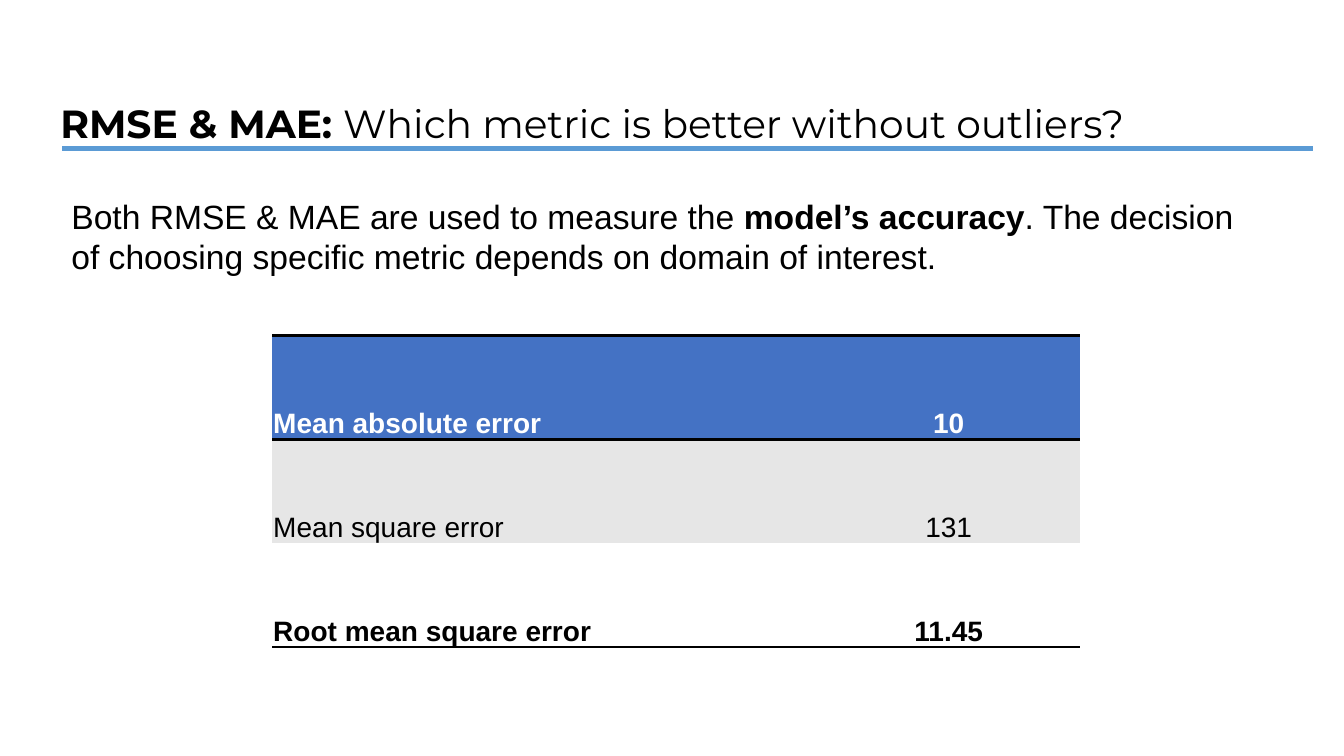
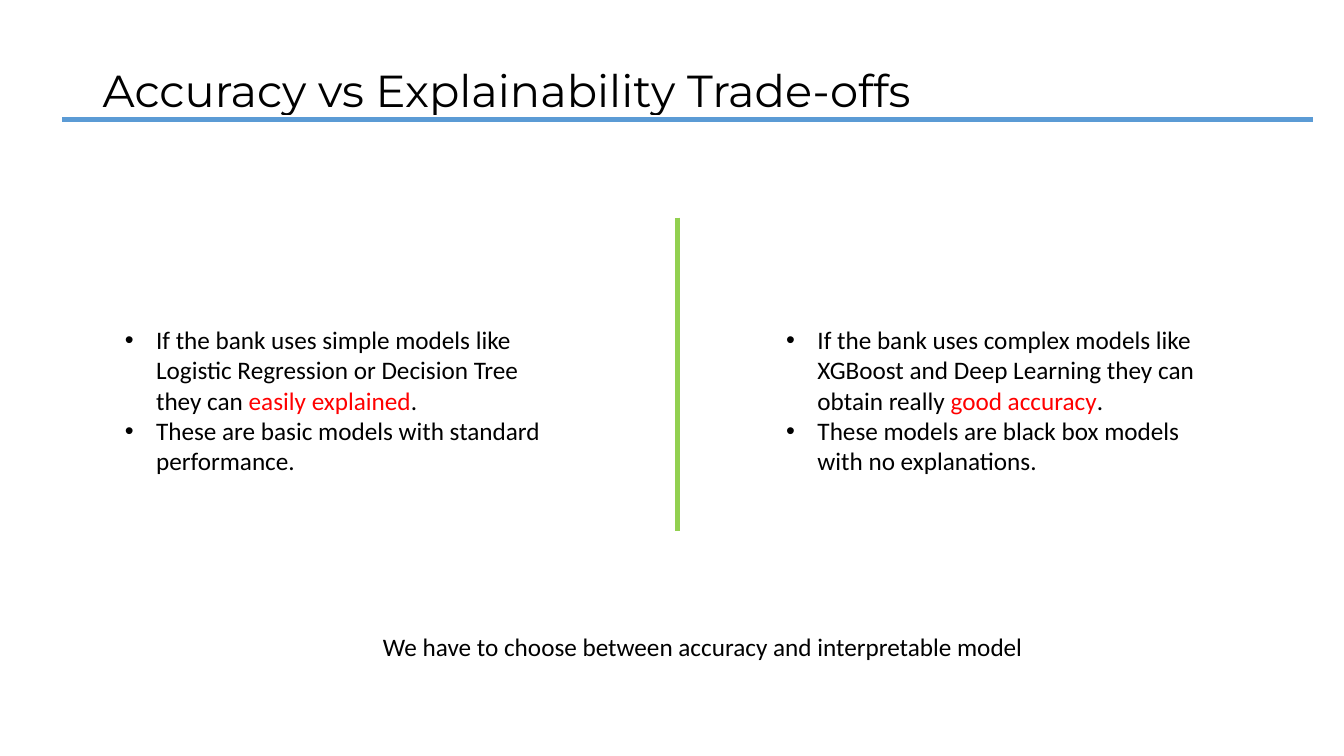
import dataclasses

import lxml.etree
import pptx
import pptx.dml.color
import pptx.enum.shapes
import pptx.enum.text
import pptx.oxml.ns
import pptx.util

Inches = pptx.util.Inches
Pt = pptx.util.Pt
ALIGN = pptx.enum.text.PP_ALIGN
ANCHOR = pptx.enum.text.MSO_ANCHOR
qn = pptx.oxml.ns.qn


@dataclasses.dataclass(frozen=True)
class Theme:
    black: str = "000000"
    white: str = "FFFFFF"
    rule: str = "5B9BD5"
    divider: str = "92D050"
    highlight: str = "FF0000"
    header_fill: str = "4472C4"
    band_fill: str = "E6E6E6"
    title_font: str = "Montserrat"
    body_font: str = "Arial"
    list_font: str = "Calibri"
    long_title_size: int = 28
    title_size: int = 32
    body_size: int = 24
    table_size: int = 20
    list_size: int = 18


THEME = Theme()


def rgb(value):
    return pptx.dml.color.RGBColor.from_string(value)


def add_bullet(para, indent=0.31):
    properties = para._p.get_or_add_pPr()
    properties.set("marL", str(Inches(indent)))
    properties.set("indent", str(-Inches(indent)))
    lxml.etree.SubElement(properties, qn("a:buFont"), typeface="Arial")
    lxml.etree.SubElement(properties, qn("a:buChar"), char="•")


def write_text(frame, paragraphs, *, font, size, color=THEME.black, bold=False,
               align=ALIGN.LEFT, anchor=ANCHOR.TOP, spacing=None, bullets=False):
    """Fill a frame; a paragraph is a list of (text, overrides) runs."""
    frame.word_wrap = True
    frame.vertical_anchor = anchor
    for index, runs in enumerate(paragraphs):
        para = frame.add_paragraph() if index else frame.paragraphs[0]
        para.alignment = align
        if spacing:
            para.line_spacing = spacing
        if bullets:
            add_bullet(para)
        for text, overrides in runs:
            span = para.add_run()
            span.text = text
            span.font.name = font
            span.font.size = Pt(size)
            span.font.bold = overrides.get("bold", bold)
            span.font.color.rgb = rgb(overrides.get("color", color))


def add_text(page, left, top, width, height, paragraphs, **style):
    box = page.shapes.add_textbox(Inches(left), Inches(top), Inches(width), Inches(height))
    write_text(box.text_frame, paragraphs, **style)


def add_title_rule(page, top):
    bar = page.shapes.add_shape(pptx.enum.shapes.MSO_SHAPE.RECTANGLE,
                                Inches(0.61), Inches(top), Inches(12.42), Inches(0.07))
    bar.shadow.inherit = False
    bar.fill.solid()
    bar.fill.fore_color.rgb = rgb(THEME.rule)
    bar.line.color.rgb = rgb(THEME.white)
    bar.line.width = Pt(1)


def add_divider(page, x, top, bottom):
    line = page.shapes.add_connector(pptx.enum.shapes.MSO_CONNECTOR.STRAIGHT,
                                     Inches(x), Inches(top), Inches(x), Inches(bottom))
    line.line.color.rgb = rgb(THEME.divider)
    line.line.width = Pt(3)
    lxml.etree.SubElement(line._element.spPr, qn("a:effectLst"))


def set_borders(cell, top, bottom):
    """Draw horizontal cell borders in points; zero hides one."""
    properties = cell._tc.get_or_add_tcPr()
    for side, width in (("L", 0), ("R", 0), ("T", top), ("B", bottom)):
        border = lxml.etree.SubElement(properties, qn(f"a:ln{side}"), w=str(Pt(width)))
        if width:
            fill = lxml.etree.SubElement(border, qn("a:solidFill"))
            lxml.etree.SubElement(fill, qn("a:srgbClr"), val=THEME.black)
        else:
            lxml.etree.SubElement(border, qn("a:noFill"))


def add_metric_table(page, left, top, column_widths, row_height, rows, rules):
    """Add rows of (cells, fill, color, bold); rules are the row boundary widths."""
    table = page.shapes.add_table(len(rows), len(column_widths), Inches(left), Inches(top),
                                  Inches(sum(column_widths)),
                                  Inches(row_height * len(rows))).table
    for column, width in zip(table.columns, column_widths):
        column.width = Inches(width)
    for row_index, (texts, fill, color, bold) in enumerate(rows):
        table.rows[row_index].height = Inches(row_height)
        for column_index, text in enumerate(texts):
            cell = table.cell(row_index, column_index)
            cell.margin_left = cell.margin_right = cell.margin_top = Inches(0.01)
            cell.margin_bottom = 0
            set_borders(cell, rules[row_index], rules[row_index + 1])
            cell.fill.solid()
            cell.fill.fore_color.rgb = rgb(fill)
            write_text(cell.text_frame, [[(text, {})]], font=THEME.body_font,
                       size=THEME.table_size, color=color, bold=bold,
                       align=ALIGN.CENTER if column_index else ALIGN.LEFT)
            cell.vertical_anchor = ANCHOR.BOTTOM


def add_model_points(page, left, opening, key_phrase, closing):
    points = [[(opening, {}), (key_phrase, {"color": THEME.highlight}), (".", {})],
              [(closing, {})]]
    add_text(page, left, 3.17, 4.5, 1.62, points, font=THEME.list_font,
             size=THEME.list_size, bullets=True)


def build_metrics_page(page):
    add_title_rule(page, 1.44)
    add_text(page, 0.5, 0.94, 11.75, 0.57,
             [[("RMSE & MAE: ", {"bold": True}),
               ("Which metric is better without outliers?", {})]],
             font=THEME.title_font, size=THEME.long_title_size)
    rows = [
        (("Mean absolute error", "10"), THEME.header_fill, THEME.white, True),
        (("Mean square error", "131"), THEME.band_fill, THEME.black, False),
        (("Root mean square error", "11.45"), THEME.white, THEME.black, True),
    ]
    add_metric_table(page, 2.7, 3.33, (5.41, 2.6), 1.03, rows, rules=(2, 2, 0, 1.5))
    add_text(page, 0.61, 1.89, 11.79, 1.31,
             [[("Both RMSE & MAE are used to measure the ", {}),
               ("model’s accuracy", {"bold": True}),
               (". The decision of choosing specific metric depends on domain of interest.",
                {})]],
             font=THEME.body_font, size=THEME.body_size)


def build_tradeoff_page(page):
    add_text(page, 0.92, 0.2, 11.5, 1.45,
             [[("Accuracy vs Explainability Trade-offs", {})]],
             font=THEME.title_font, size=THEME.title_size, anchor=ANCHOR.MIDDLE, spacing=0.9)
    add_title_rule(page, 1.15)
    add_model_points(page, 1.14,
                     "If the bank uses simple models like Logistic Regression or "
                     "Decision Tree they can ", "easily explained",
                     "These are basic models with standard performance.")
    add_divider(page, 6.72, 2.16, 5.27)
    add_model_points(page, 7.7,
                     "If the bank uses complex models like XGBoost and Deep Learning "
                     "they can obtain really ", "good accuracy",
                     "These models are black box models with no explanations.")
    add_text(page, 3.7, 6.21, 6.58, 0.4,
             [[("We have to choose between accuracy and interpretable model", {})]],
             font=THEME.list_font, size=THEME.list_size)


def main():
    deck = pptx.Presentation()
    deck.slide_width = Inches(13.33)
    deck.slide_height = Inches(7.5)
    for build_page in (build_metrics_page, build_tradeoff_page):
        build_page(deck.slides.add_slide(deck.slide_layouts[6]))
    deck.save("out.pptx")


if __name__ == "__main__":
    main()
